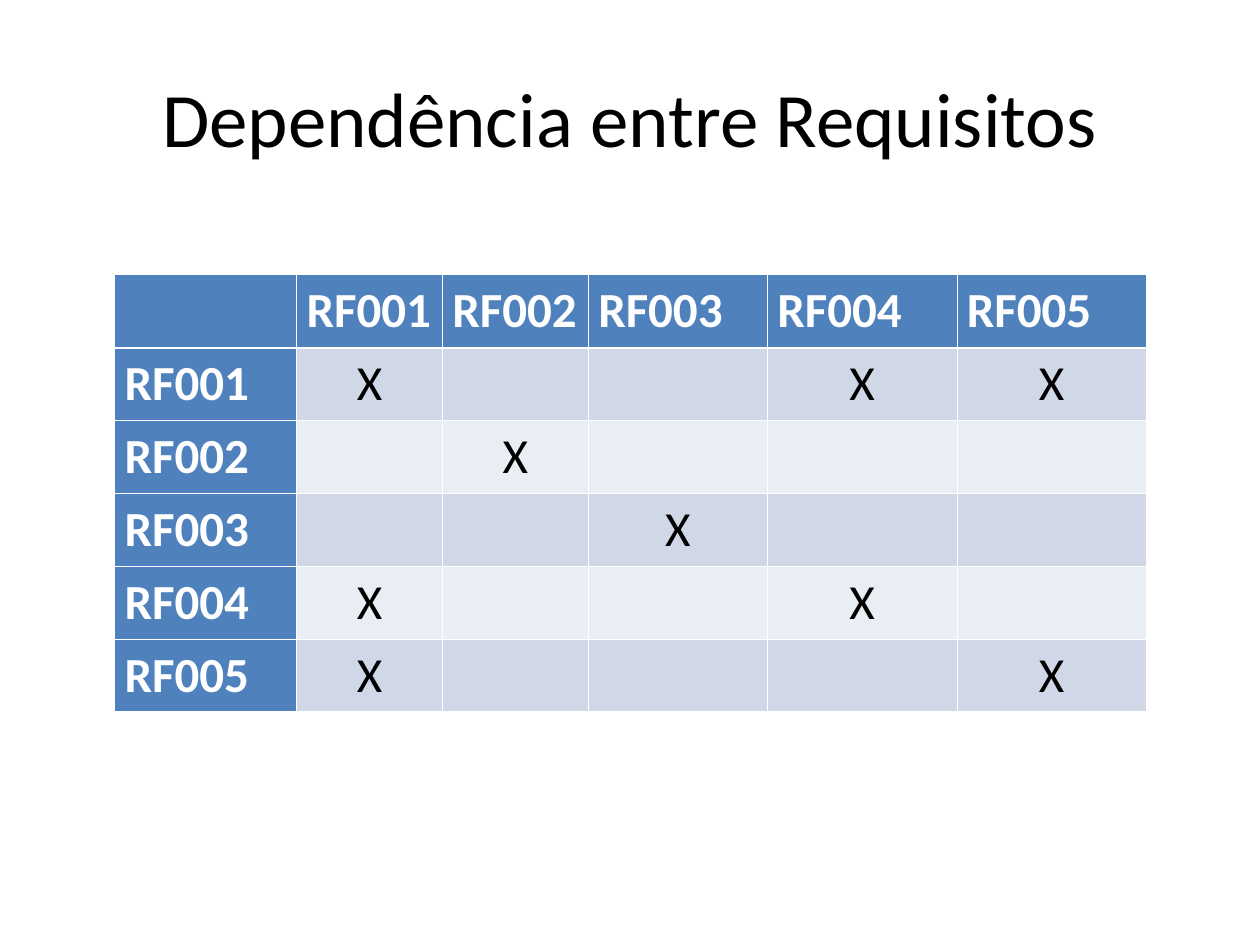
from dataclasses import dataclass

from lxml.etree import SubElement
from pptx import Presentation
from pptx.dml.color import RGBColor
from pptx.enum.text import MSO_ANCHOR, PP_ALIGN
from pptx.oxml.ns import qn
from pptx.util import Cm, Pt


@dataclass(frozen=True)
class Theme:
    font: str = "Calibri"
    title_size: int = 44
    cell_size: int = 28
    text: str = "000000"
    light: str = "FFFFFF"
    header: str = "4F81BD"
    bands: tuple = ("D0D8E8", "E9EDF4")
    thin_border: float = 0.45
    thick_border: float = 1.47


class SlideBuilder:
    """Holds the style and the current slide."""

    def __init__(self, slide, theme):
        self.slide = slide
        self.theme = theme

    def style(self, paragraph, size, color, bold, alignment):
        paragraph.alignment = alignment
        font = paragraph.font
        font.name = self.theme.font
        font.size = Pt(size)
        font.bold = bold
        font.color.rgb = RGBColor.from_string(color)

    def title(self, text, left, top, width, height):
        shape = self.slide.shapes.title
        shape.left, shape.top = Cm(left), Cm(top)
        shape.width, shape.height = Cm(width), Cm(height)
        frame = shape.text_frame
        frame.text = text
        frame.vertical_anchor = MSO_ANCHOR.MIDDLE
        self.style(frame.paragraphs[0], self.theme.title_size,
                   self.theme.text, False, PP_ALIGN.CENTER)

    def borders(self, cell, row):
        # The line below the header row is thicker
        thin, thick = self.theme.thin_border, self.theme.thick_border
        widths = {
            "L": thin,
            "R": thin,
            "T": thick if row == 1 else thin,
            "B": thick if row == 0 else thin,
        }
        properties = cell._tc.get_or_add_tcPr()
        for side, width in widths.items():
            line = SubElement(properties, qn(f"a:ln{side}"), w=str(Pt(width)))
            fill = SubElement(line, qn("a:solidFill"))
            SubElement(fill, qn("a:srgbClr"), val=self.theme.light)

    def cell(self, cell, text, row, column):
        theme = self.theme
        is_header = row == 0 or column == 0
        self.borders(cell, row)
        cell.fill.solid()
        cell.fill.fore_color.rgb = RGBColor.from_string(
            theme.header if is_header else theme.bands[(row - 1) % 2])
        cell.margin_left = cell.margin_right = Cm(0.2)
        cell.margin_top = cell.margin_bottom = Cm(0.13)
        cell.text = text
        self.style(cell.text_frame.paragraphs[0], theme.cell_size,
                   theme.light if is_header else theme.text, is_header,
                   PP_ALIGN.LEFT if is_header else PP_ALIGN.CENTER)

    def table(self, rows, left, top, column_widths, row_height):
        table = self.slide.shapes.add_table(
            len(rows), len(column_widths), Cm(left), Cm(top),
            Cm(sum(column_widths)), Cm(row_height * len(rows))).table
        table.first_col = True
        for column, width in zip(table.columns, column_widths):
            column.width = Cm(width)
        for row, texts in enumerate(rows):
            table.rows[row].height = Cm(row_height)
            for column, text in enumerate(texts):
                self.cell(table.cell(row, column), text, row, column)


def dependency_rows():
    # Each requirement with the requirements marked in its row
    dependencies = {
        "RF001": ("RF001", "RF004", "RF005"),
        "RF002": ("RF002",),
        "RF003": ("RF003",),
        "RF004": ("RF001", "RF004"),
        "RF005": ("RF001", "RF005"),
    }
    rows = [["", *dependencies]]
    for requirement, marked in dependencies.items():
        rows.append([requirement,
                     *("X" if other in marked else "" for other in dependencies)])
    return rows


def main():
    presentation = Presentation()
    presentation.slide_width, presentation.slide_height = Cm(25.4), Cm(19.05)
    title_only = presentation.slide_layouts[5]
    builder = SlideBuilder(presentation.slides.add_slide(title_only), Theme())

    # Heading
    builder.title("Dependência entre Requisitos", 1.27, 0.76, 22.86, 3.18)

    # Dependency matrix
    builder.table(dependency_rows(), left=2.31, top=5.54,
                  column_widths=(3.67, 2.94, 2.94, 3.61, 3.82, 3.82),
                  row_height=1.42)

    presentation.save("out.pptx")


if __name__ == "__main__":
    main()
